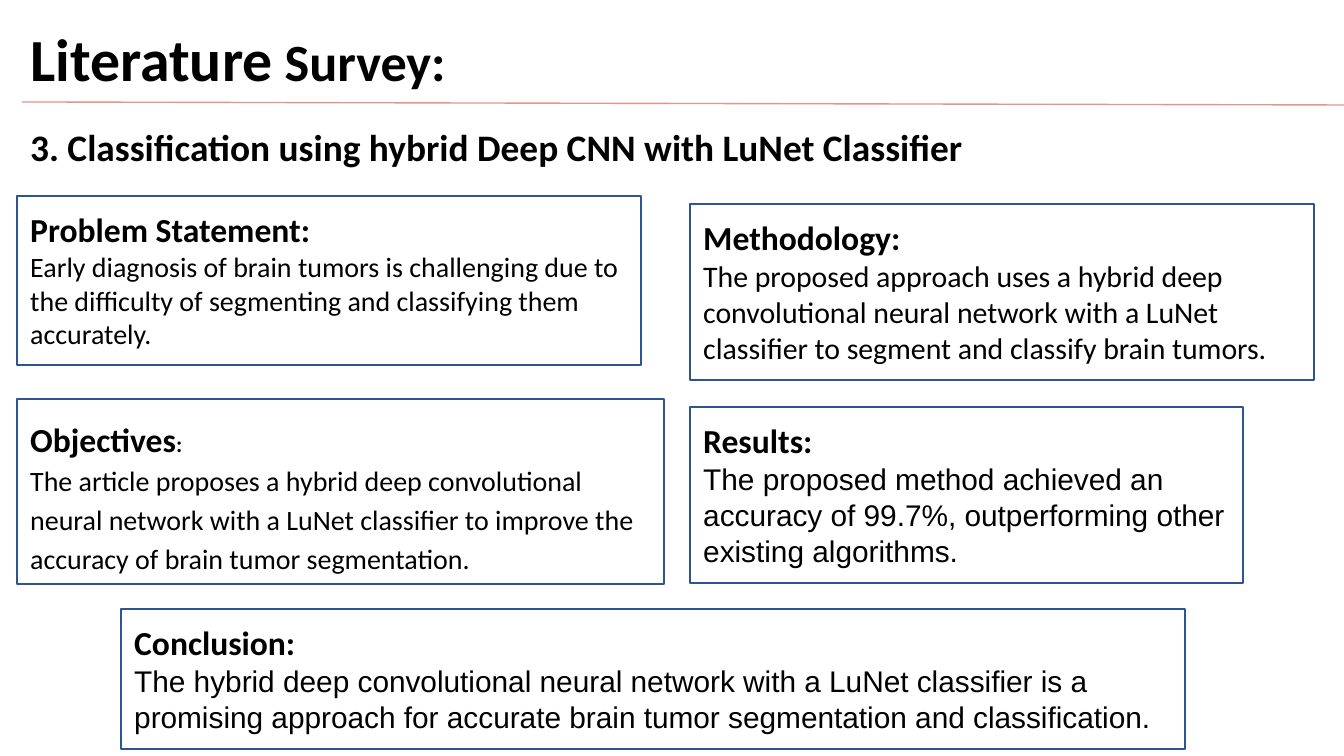
import lxml.etree
import pptx
import pptx.dml.color
import pptx.enum.shapes
import pptx.enum.text
import pptx.oxml.ns
import pptx.util

SLIDE_WIDTH, SLIDE_HEIGHT = 1344, 756
EMU_PER_PX = pptx.util.Inches(10) / SLIDE_WIDTH
BLACK = pptx.dml.color.RGBColor(0x00, 0x00, 0x00)
BLUE = pptx.dml.color.RGBColor(0x2F, 0x54, 0x96)
SALMON = pptx.dml.color.RGBColor(0xE4, 0x94, 0x8A)
LEFT, RIGHT = 17, 690

CARDS = [
    dict(box=(LEFT, 196, 624, 169), heading="Problem Statement:", size=15,
         body="Early diagnosis of brain tumors is challenging due to the difficulty of "
              "segmenting and classifying them accurately."),
    dict(box=(LEFT, 399, 647, 185), heading="Objectives", mark=":", size=15, spacing=1.15,
         body="The article proposes a hybrid deep convolutional neural network with a LuNet "
              "classifier to improve the accuracy of brain tumor segmentation."),
    dict(box=(RIGHT, 204, 624, 176), heading="Methodology:", size=16,
         body="The proposed approach uses a hybrid deep convolutional neural network with a "
              "LuNet classifier to segment and classify brain tumors."),
    dict(box=(RIGHT, 407, 553, 176), heading="Results:", size=16, font="Arial",
         body="The proposed method achieved an accuracy of 99.7%, outperforming other "
              "existing algorithms."),
    dict(box=(121, 609, 1064, 140), heading="Conclusion:", size=16, font="Arial",
         body="The hybrid deep convolutional neural network with a LuNet classifier is a "
              "promising approach for accurate brain tumor segmentation and classification."),
]


def px(length):
    """Convert pixels to EMU."""
    return pptx.util.Emu(round(length * EMU_PER_PX))


def write(paragraph, text, size, font="Calibri", bold=False, spacing=None):
    """Append formatted text to a left-aligned paragraph."""
    paragraph.alignment = pptx.enum.text.PP_ALIGN.LEFT
    if spacing:
        paragraph.line_spacing = spacing
    run = paragraph.add_run()
    run.text = text
    run.font.name = font
    run.font.size = pptx.util.Pt(size)
    run.font.bold = bold
    run.font.color.rgb = BLACK


def prepare_frame(shape, inset_y=0.1):
    """Set wrapping, anchor and insets of a shape, and return its text frame."""
    frame = shape.text_frame
    frame.word_wrap = True
    frame.auto_size = pptx.enum.text.MSO_AUTO_SIZE.SHAPE_TO_FIT_TEXT
    frame.vertical_anchor = pptx.enum.text.MSO_ANCHOR.TOP
    frame.margin_left = frame.margin_right = pptx.util.Inches(0.1)
    frame.margin_top = frame.margin_bottom = pptx.util.Inches(inset_y)
    return frame


def add_header(slide, left, top, width, height):
    """Place the title, the rule under it and the paper's name."""
    title = slide.shapes.title
    title.left, title.top, title.width, title.height = map(px, (left, top, 450, 86))
    paragraph = prepare_frame(title, inset_y=0.05).paragraphs[0]
    write(paragraph, "Literature", size=32, bold=True, spacing=1.0)
    write(paragraph, " Survey:", size=28, bold=True)

    rule = slide.shapes.add_connector(
        pptx.enum.shapes.MSO_CONNECTOR.STRAIGHT,
        px(left + 5), px(top + 87), px(left + width), px(top + 90))
    rule.line.color.rgb = SALMON
    rule.line.width = pptx.util.Pt(0.75)
    properties = rule._element.spPr
    lxml.etree.SubElement(properties, pptx.oxml.ns.qn("a:effectLst"))

    paper = slide.shapes.add_textbox(px(left), px(top + 90), px(width), px(height - 90))
    write(prepare_frame(paper).paragraphs[0],
          "3. Classification using hybrid Deep CNN with LuNet Classifier",
          size=20, bold=True, spacing=1.12)


def add_card(slide, box, heading, body, size, mark="", font="Calibri", spacing=None):
    """Place an outlined card with a bold heading above its body."""
    card = slide.shapes.add_shape(
        pptx.enum.shapes.MSO_SHAPE.RECTANGLE, *map(px, box))
    card.shadow.inherit = False
    card.fill.background()
    card.line.color.rgb = BLUE
    card.line.width = pptx.util.Pt(0.75)
    frame = prepare_frame(card)
    paragraph = frame.paragraphs[0]
    write(paragraph, heading, size=18, bold=True, spacing=spacing)
    if mark:
        write(paragraph, mark, size=12, bold=True)
    write(frame.add_paragraph(), body, size=size, font=font, spacing=spacing)


def main():
    """Build and save the literature survey slide."""
    presentation = pptx.Presentation()
    presentation.slide_width = px(SLIDE_WIDTH)
    presentation.slide_height = px(SLIDE_HEIGHT)
    slide = presentation.slides.add_slide(presentation.slide_layouts.get_by_name("Title Only"))
    add_header(slide, LEFT, 15, SLIDE_WIDTH - LEFT, 163)
    for card in CARDS:
        add_card(slide, **card)
    presentation.save("out.pptx")


if __name__ == "__main__":
    main()
